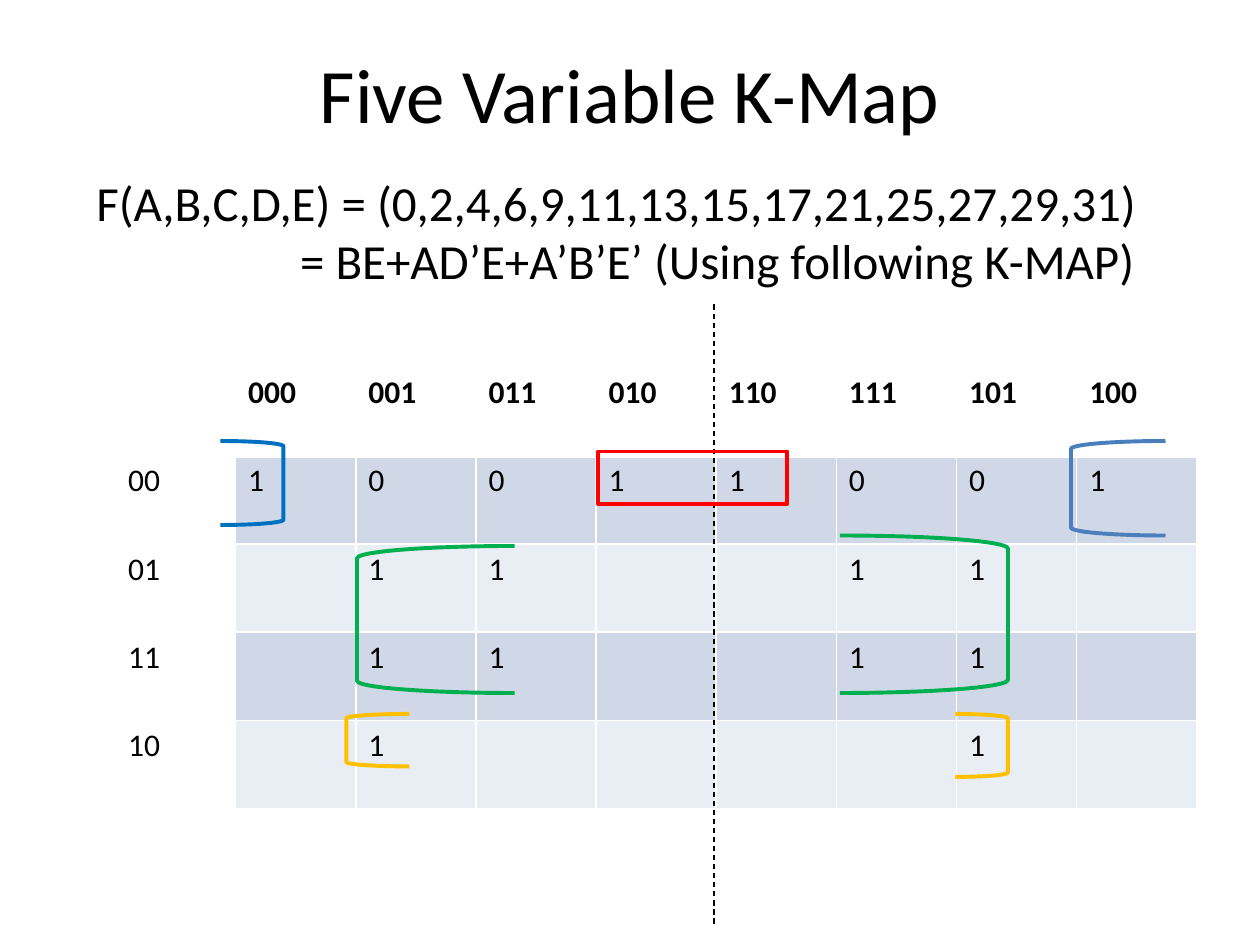
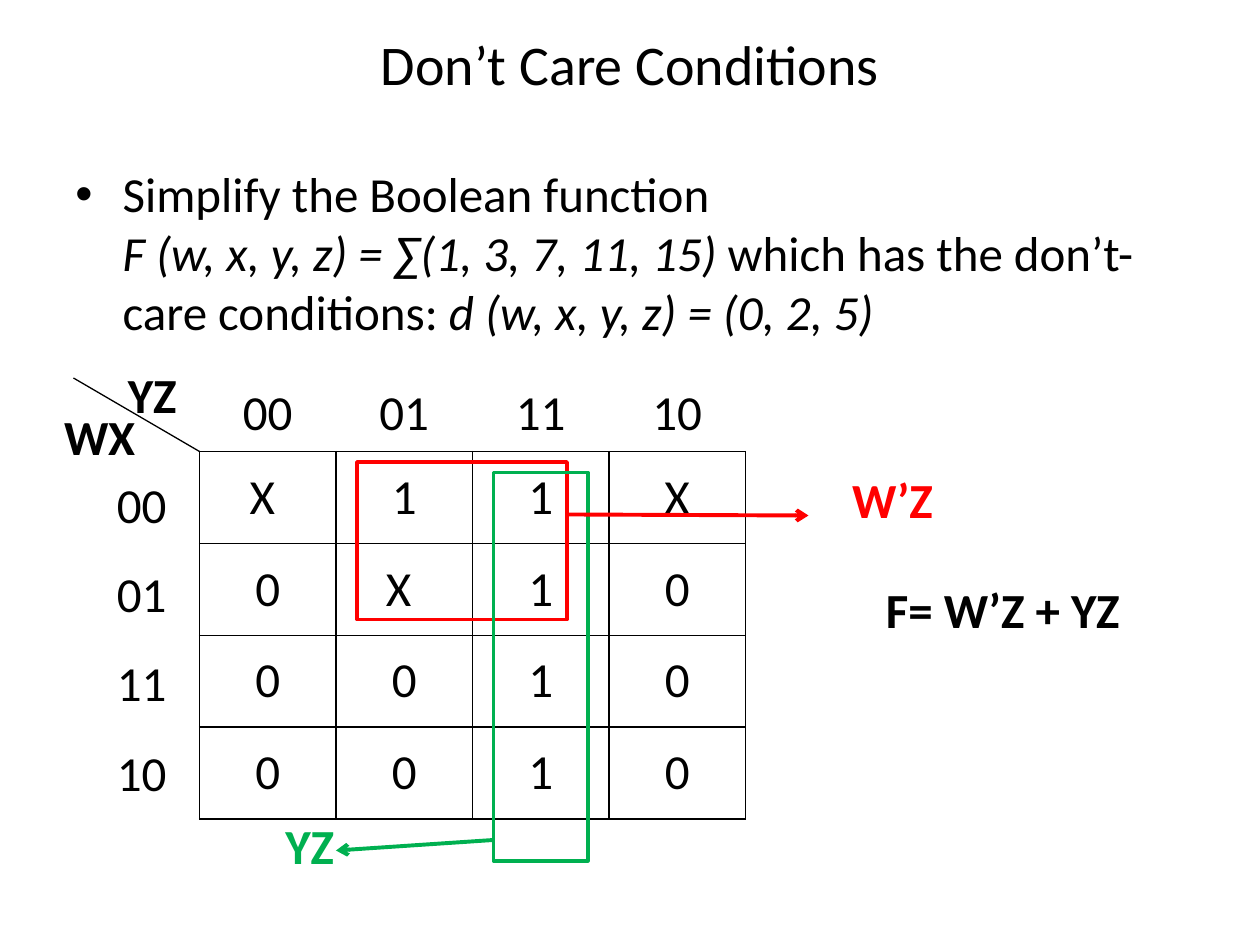
import dataclasses
import pptx
import pptx.dml.color
import pptx.enum.dml
import pptx.enum.shapes
import pptx.enum.text
import pptx.oxml
import pptx.oxml.ns
import pptx.util

SHAPE = pptx.enum.shapes.MSO_SHAPE
ALIGN = pptx.enum.text.PP_ALIGN
ANCHOR = pptx.enum.text.MSO_ANCHOR
DASH = pptx.enum.dml.MSO_LINE.DASH


@dataclasses.dataclass(frozen=True)
class Theme:
    font: str = "Calibri"
    ink: str = "000000"
    paper: str = "FFFFFF"
    red: str = "FF0000"
    green: str = "00B050"
    blue: str = "0070C0"
    steel: str = "4B7EBC"
    gold: str = "FFC000"
    bands: tuple = ("D0D8E8", "E9EDF4")
    title: int = 44
    head: int = 32
    body: int = 28
    small: int = 18
    thin: float = 0.75
    frame: float = 2
    thick: float = 2.25


THEME = Theme()


def px(count):
    """120 px make one inch."""
    return pptx.util.Emu(round(count * 7620))


def rgb(code):
    return pptx.dml.color.RGBColor.from_string(code)


def add_xml(parent, tag, inner="", **attrs):
    pairs = " ".join(f'{key}="{value}"' for key, value in attrs.items())
    space = pptx.oxml.ns.nsdecls("a")
    parent.append(pptx.oxml.parse_xml(f"<a:{tag} {space} {pairs}>{inner}</a:{tag}>"))


# Text
def add_run(para, text, size=THEME.body, color=THEME.ink, bold=False, slant=False):
    run = para.add_run()
    run.text = text
    font = run.font
    font.name, font.size = THEME.font, pptx.util.Pt(size)
    font.bold, font.italic = bold, slant
    font.color.rgb = rgb(color)


def add_box(slide, box, anchor=ANCHOR.MIDDLE):
    frame = slide.shapes.add_textbox(*map(px, box)).text_frame
    frame.word_wrap = True
    frame.vertical_anchor = anchor
    return frame


def add_label(slide, box, text, **style):
    para = add_box(slide, box).paragraphs[0]
    para.alignment = ALIGN.CENTER
    add_run(para, text, **style)


def indent(para, left, first=0):
    props = para._p.get_or_add_pPr()
    props.set("marL", str(px(left)))
    props.set("indent", str(px(first)))
    return props


# Tables
def add_edge(cell, side, color, width):
    if color:
        fill = f'<a:solidFill><a:srgbClr val="{color}"/></a:solidFill>'
    else:
        fill = "<a:noFill/>"
    add_xml(cell._tc.get_or_add_tcPr(), "ln" + side, fill, w=pptx.util.Pt(width))


def add_grid(slide, box, rows, edge=None, align=ALIGN.CENTER, anchor=ANCHOR.MIDDLE,
             size=THEME.body, headed=False):
    """Draw equal cells; a headed grid has a bold top row and banded values."""
    tall, wide = len(rows), len(rows[0])
    table = slide.shapes.add_table(tall, wide, *map(px, box)).table
    table.first_row = table.horz_banding = False
    for col in table.columns:
        col.width = px(box[2] / wide)
    for y, row in enumerate(rows):
        table.rows[y].height = px(box[3] / tall)
        for x, text in enumerate(row):
            cell = table.cell(y, x)
            cell.vertical_anchor = anchor
            top = headed and y == 0
            for side in "LRTB":
                add_edge(cell, side, edge, 3 if top and side == "B" else 1)
            if headed and x and y:
                cell.fill.solid()
                cell.fill.fore_color.rgb = rgb(THEME.bands[(y - 1) % 2])
            else:
                cell.fill.background()
            para = cell.text_frame.paragraphs[0]
            para.alignment = align
            if text:
                add_run(para, text, size, bold=top)


# Lines and loops
def add_loop(slide, kind, box, color, width=THEME.thick):
    shape = slide.shapes.add_shape(kind, *map(px, box))
    shape.shadow.inherit = False
    shape.fill.background()
    shape.line.color.rgb = rgb(color)
    shape.line.width = pptx.util.Pt(width)


def add_wire(slide, start, end, color=THEME.ink, width=THEME.thin, dash=None, arrow=False):
    kind = pptx.enum.shapes.MSO_CONNECTOR.STRAIGHT
    wire = slide.shapes.add_connector(kind, *map(px, start + end))
    wire.line.color.rgb = rgb(color)
    wire.line.width = pptx.util.Pt(width)
    if dash:
        wire.line.dash_style = dash
    if arrow:
        add_xml(wire.line._get_or_add_ln(), "tailEnd", type="arrow")
    add_xml(wire._element.spPr, "effectLst")


def draw_five(slide):
    add_label(slide, (60, 36, 1080, 104), "Five Variable K-Map", size=THEME.title)

    # Map of five variables
    rows = [line.split(",") for line in (
        ",000,001,011,010,110,111,101,100",
        "00,1,0,0,1,1,0,0,1",
        "01,,1,1,,,1,1,",
        "11,,1,1,,,1,1,",
        "10,,1,,,,,1,",
    )]
    add_grid(slide, (110, 350, 1030, 420), rows, THEME.paper, ALIGN.LEFT, ANCHOR.TOP,
             THEME.small, headed=True)
    add_wire(slide, (680, 290), (680, 880), dash=DASH)

    # Groups of ones
    left, right = SHAPE.LEFT_BRACKET, SHAPE.RIGHT_BRACKET
    for kind, box, color in (
        (SHAPE.RECTANGLE, (570, 430, 180, 50), THEME.red),
        (right, (800, 510, 160, 150), THEME.green),
        (left, (340, 520, 150, 140), THEME.green),
        (right, (210, 420, 60, 80), THEME.blue),
        (left, (1020, 420, 90, 90), THEME.steel),
        (left, (330, 680, 60, 50), THEME.gold),
        (right, (910, 680, 50, 60), THEME.gold),
    ):
        add_loop(slide, kind, box, color)

    # Formula
    frame = add_box(slide, (80, 160, 1060, 120))
    add_run(frame.paragraphs[0], "F(A,B,C,D,E) = (0,2,4,6,9,11,13,15,17,21,25,27,29,31)")
    para = frame.add_paragraph()
    indent(para, 194)
    add_run(para, "= BE+AD’E+A’B’E’ (Using following K-MAP)")


def draw_care(slide):
    add_label(slide, (60, 0, 1080, 120), "Don’t Care Conditions", size=THEME.head)

    # Task
    para = add_box(slide, (60, 150, 1080, 700), ANCHOR.TOP).paragraphs[0]
    props = indent(para, 45, -45)
    add_xml(props, "buFont", typeface="Arial")
    add_xml(props, "buChar", char="•")
    add_run(para, "Simplify the Boolean function")
    para.add_line_break()
    add_run(para, "F (w, x, y, z) = ∑(1, 3, 7, 11, 15) ", slant=True)
    add_run(para, "which has the don’t-care conditions: ")
    add_run(para, "d (w, x, y, z) = (0, 2, 5)", slant=True)

    # Map with its row and column codes
    codes = ["00", "01", "11", "10"]
    cells = [["X ", "1", "1", "X"], ["0", "X ", "1", "0"]] + [["0", "0", "1", "0"]] * 2
    add_grid(slide, (190, 430, 520, 350), cells, THEME.ink)
    add_grid(slide, (190, 360, 520, 68), [codes], anchor=ANCHOR.TOP)
    add_grid(slide, (80, 440, 110, 340), [[code] for code in codes])
    add_wire(slide, (190, 430), (70, 360))

    # Groups and their arrows
    add_loop(slide, SHAPE.RECTANGLE, (340, 440, 200, 150), THEME.red, THEME.frame)
    add_loop(slide, SHAPE.RECTANGLE, (470, 450, 90, 370), THEME.green, THEME.frame)
    add_wire(slide, (540, 490), (770, 491), THEME.red, THEME.thick, arrow=True)
    add_wire(slide, (470, 800), (320, 810), THEME.green, THEME.thick, arrow=True)

    # Names and result
    for text, box, color in (
        ("YZ", (100, 340, 90, 70), THEME.ink),
        ("WX", (30, 380, 130, 70), THEME.ink),
        ("W’Z", (780, 440, 140, 70), THEME.red),
        ("YZ", (240, 770, 110, 70), THEME.green),
        ("F= W’Z + YZ", (790, 540, 330, 80), THEME.ink),
    ):
        add_label(slide, box, text, color=color, bold=True)


def main():
    deck = pptx.Presentation()
    deck.slide_width, deck.slide_height = px(1200), px(900)
    for draw in (draw_five, draw_care):
        draw(deck.slides.add_slide(deck.slide_layouts[6]))
    deck.save("out.pptx")


if __name__ == "__main__":
    main()
